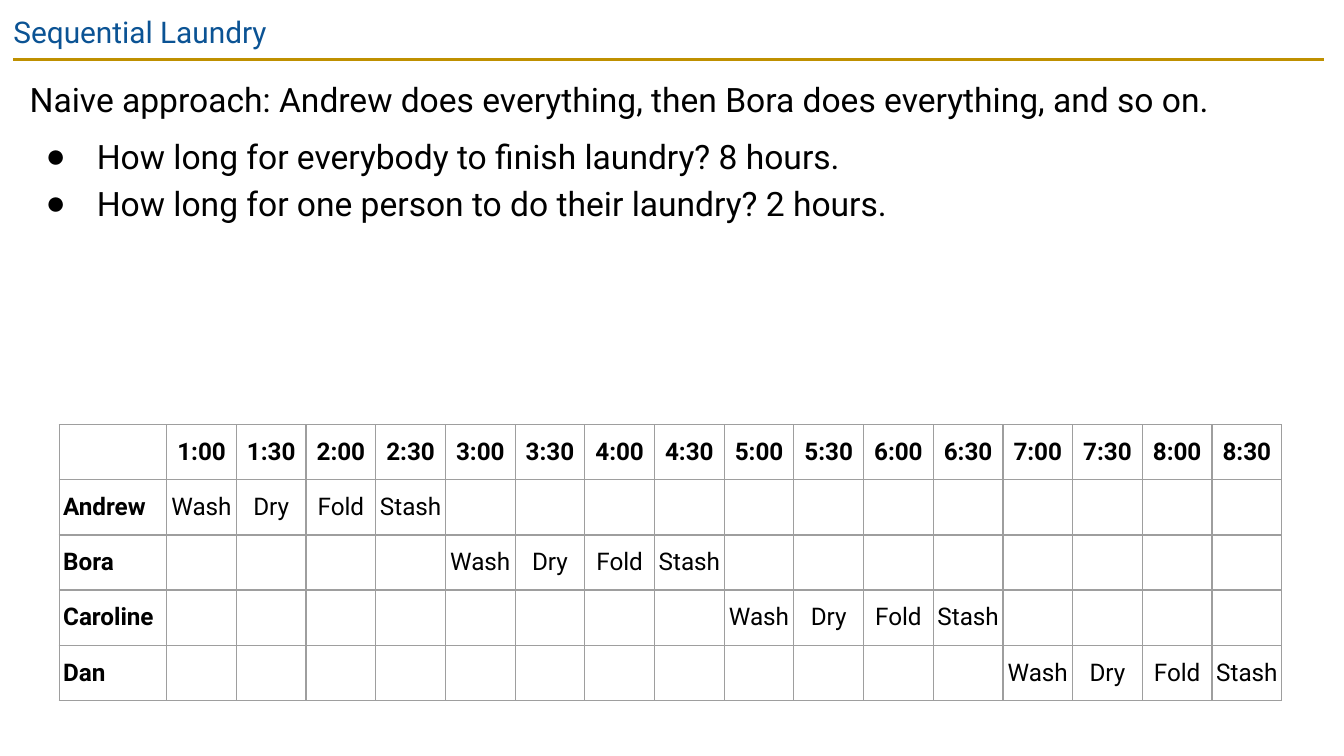
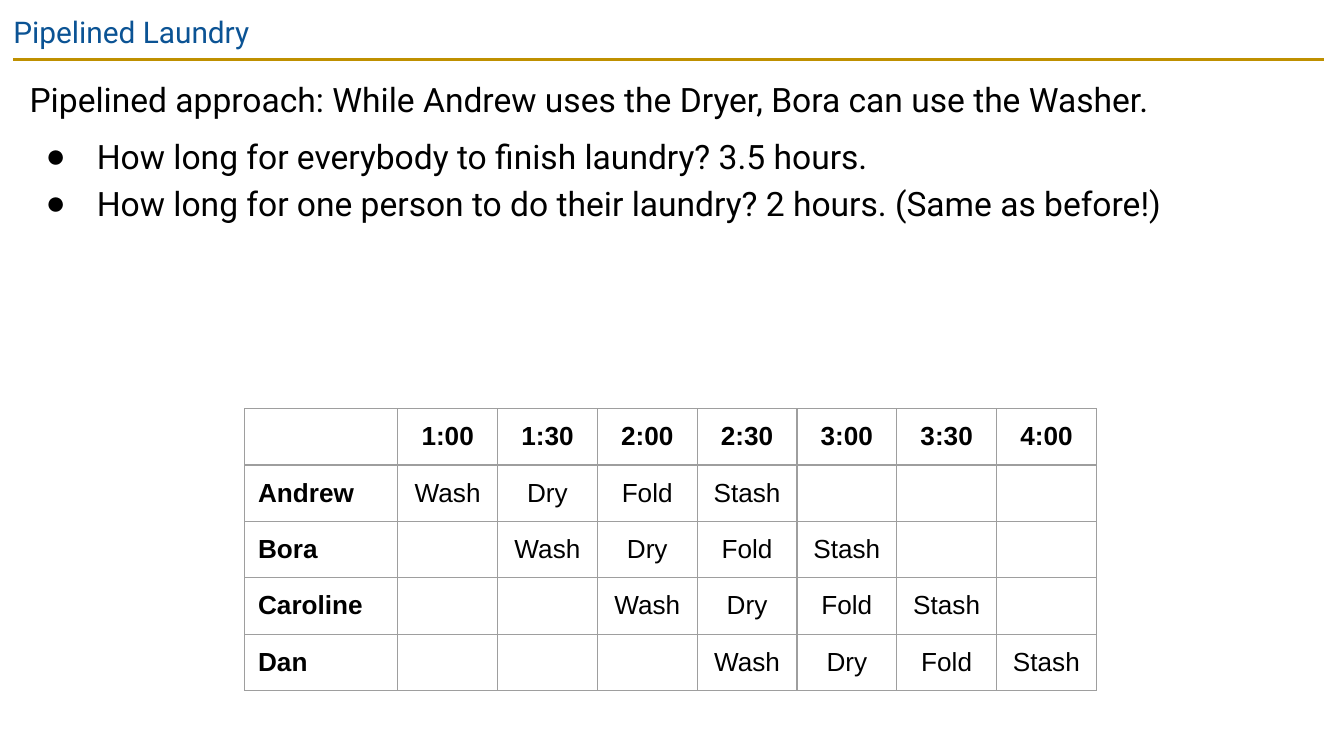
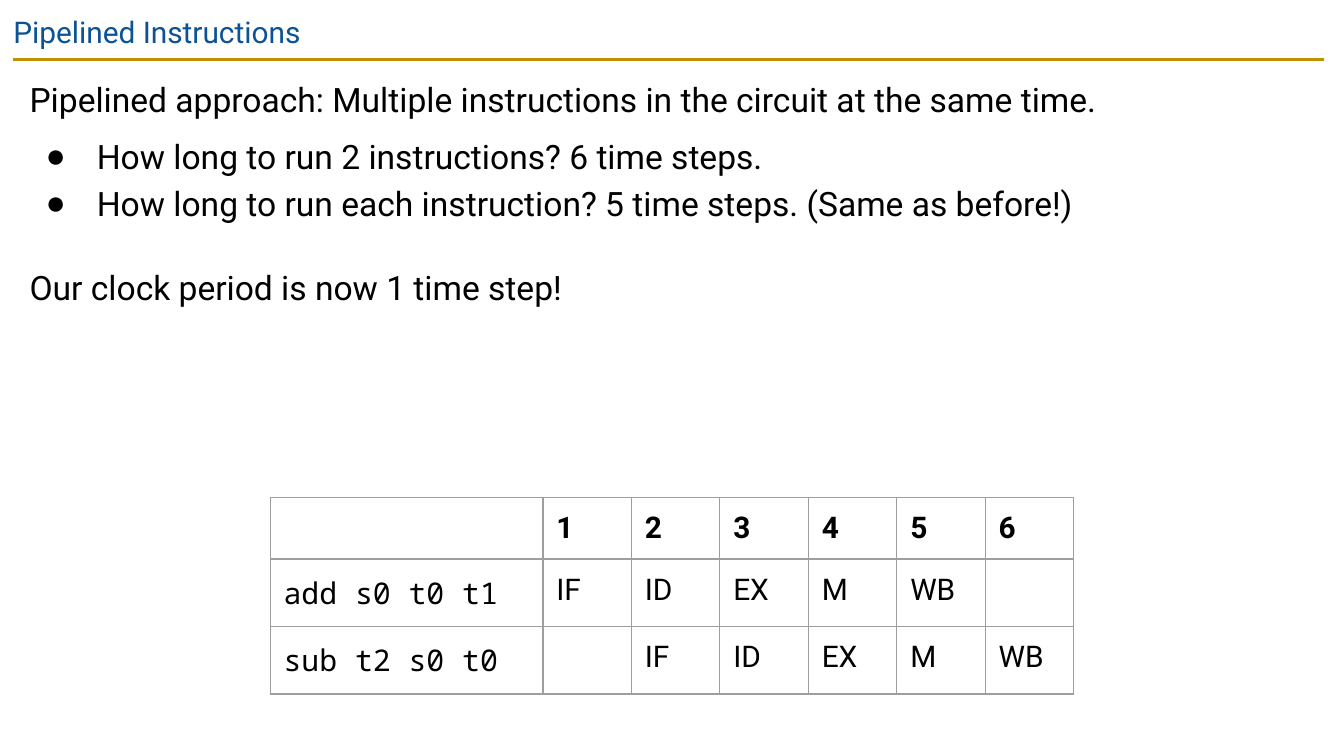
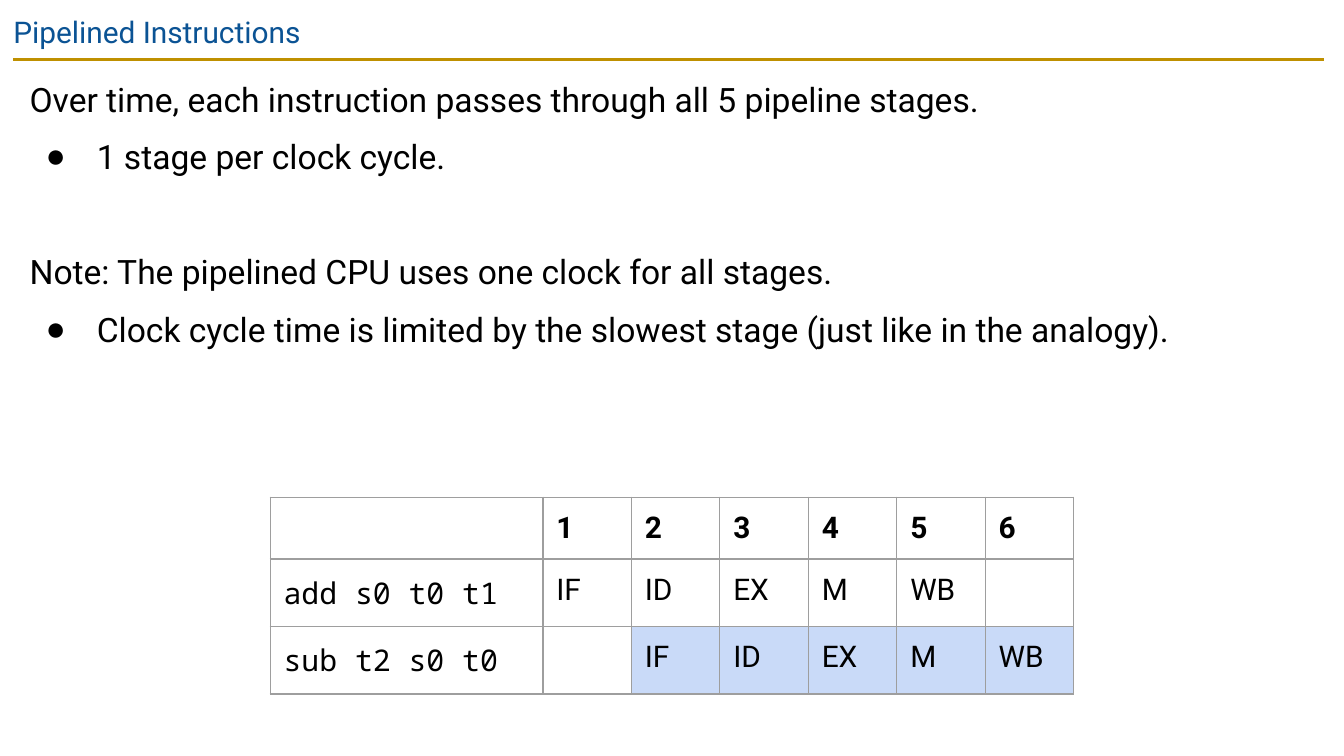
import dataclasses

import pptx
import pptx.dml.color
import pptx.enum.shapes
import pptx.enum.text
import pptx.oxml.ns
import pptx.util
from lxml import etree

Inches = pptx.util.Inches
Pt = pptx.util.Pt


@dataclasses.dataclass(frozen=True)
class Theme:
    title: str = "0B5394"
    rule: str = "BF9000"
    ink: str = "000000"
    grid: str = "9E9E9E"
    highlight: str = "C9DAF8"
    sans: str = "Roboto"
    plain: str = "Arial"
    mono: str = "Noto Sans Mono"
    title_size: float = 16
    body_size: float = 18
    grid_width: float = 0.75
    rule_width: float = 1.5
    line_spacing: float = 1.15
    gap: float = 6
    inset: float = 0.1


THEME = Theme()
TITLE_BOX = (0, 0, 10, 0.43)
BODY_LEFT, BODY_TOP, BODY_WIDTH = 0.12, 0.44, 9.74


@dataclasses.dataclass(frozen=True)
class GridStyle:
    size: float
    font: str = THEME.sans
    label_font: str = THEME.sans
    label_bold: bool = True
    centered: bool = True
    side_inset: float = THEME.inset


@dataclasses.dataclass(frozen=True)
class Schedule:
    headings: list
    labels: list
    stages: list
    stride: int
    box: tuple
    label_width: float
    row_heights: list
    style: GridStyle
    highlighted: tuple = ()


def rgb(value):
    return pptx.dml.color.RGBColor.from_string(value)


def add_xml(parent, tag, **attributes):
    return etree.SubElement(parent, pptx.oxml.ns.qn(tag), attributes)


def format_font(font, name, size, color, bold=False):
    font.name = name
    font.size = Pt(size)
    font.bold = bold
    font.color.rgb = rgb(color)


def prepare_placeholder(placeholder, box):
    placeholder.left, placeholder.top, placeholder.width, placeholder.height = map(Inches, box)
    frame = placeholder.text_frame
    frame.word_wrap = True
    frame.auto_size = pptx.enum.text.MSO_AUTO_SIZE.NONE
    frame.vertical_anchor = pptx.enum.text.MSO_ANCHOR.TOP
    frame.margin_left = frame.margin_right = Inches(THEME.inset)
    frame.margin_top = frame.margin_bottom = Inches(THEME.inset)
    return frame


def add_title(slide, title, box):
    frame = prepare_placeholder(slide.shapes.title, box)
    frame.text = title
    heading = frame.paragraphs[0]
    heading.alignment = pptx.enum.text.PP_ALIGN.LEFT
    format_font(heading.font, THEME.sans, THEME.title_size, THEME.title)


def set_bullet(paragraph, bulleted):
    properties = paragraph._p.get_or_add_pPr()
    properties.set("marL", str(Inches(0.5 if bulleted else 0)))
    properties.set("indent", str(Inches(-0.38 if bulleted else 0)))
    if bulleted:
        add_xml(add_xml(properties, "a:buClr"), "a:srgbClr", val=THEME.ink)
        add_xml(properties, "a:buFont", typeface=THEME.plain)
        add_xml(properties, "a:buChar", char="●")
    else:
        add_xml(properties, "a:buNone")


def add_body(slide, lines, box):
    frame = prepare_placeholder(slide.placeholders[1], box)
    frame.text = "\n".join(text for text, bulleted, space in lines)
    for paragraph, (text, bulleted, space) in zip(frame.paragraphs, lines):
        set_bullet(paragraph, bulleted)
        paragraph.line_spacing = THEME.line_spacing
        paragraph.space_before = Pt(space)
        paragraph.space_after = Pt(0)
        format_font(paragraph.font, THEME.sans, THEME.body_size, THEME.ink)


def format_cell(cell, fill=None):
    properties = cell._tc.get_or_add_tcPr()
    for side in ("a:lnL", "a:lnR", "a:lnT", "a:lnB"):
        border = add_xml(properties, side, w=str(Pt(THEME.grid_width)))
        add_xml(add_xml(border, "a:solidFill"), "a:srgbClr", val=THEME.grid)
    if fill:
        cell.fill.solid()
        cell.fill.fore_color.rgb = rgb(fill)
    else:
        cell.fill.background()


def write_cell(cell, text, style, font, bold, centered):
    cell.text = text
    cell.margin_left = cell.margin_right = Inches(style.side_inset)
    cell.margin_top = cell.margin_bottom = Inches(THEME.inset)
    paragraph = cell.text_frame.paragraphs[0]
    align = pptx.enum.text.PP_ALIGN
    paragraph.alignment = align.CENTER if centered else align.LEFT
    format_font(paragraph.font, font, style.size, THEME.ink, bold)


def add_schedule(slide, schedule):
    style = schedule.style
    left, top, width = schedule.box
    slots = len(schedule.headings)
    table = slide.shapes.add_table(
        len(schedule.labels) + 1, slots + 1, Inches(left), Inches(top),
        Inches(width), Inches(sum(schedule.row_heights))).table
    table.first_row = table.horz_banding = False
    table.columns[0].width = Inches(schedule.label_width)
    for slot in range(1, slots + 1):
        table.columns[slot].width = Inches((width - schedule.label_width) / slots)
    for row, height in zip(table.rows, schedule.row_heights):
        row.height = Inches(height)

    for slot, heading in enumerate(schedule.headings, 1):
        write_cell(table.cell(0, slot), heading, style, style.font, True, style.centered)
    filled = set()
    for row, label in enumerate(schedule.labels, 1):
        write_cell(table.cell(row, 0), label, style, style.label_font, style.label_bold, False)
        start = (row - 1) * schedule.stride + 1
        for slot, stage in enumerate(schedule.stages, start):
            write_cell(table.cell(row, slot), stage, style, style.font, False, style.centered)
            if row in schedule.highlighted:
                filled.add((row, slot))
    for row in range(len(schedule.labels) + 1):
        for column in range(slots + 1):
            fill = THEME.highlight if (row, column) in filled else None
            format_cell(table.cell(row, column), fill)


def add_master_rule(deck, slide):
    rule = slide.shapes.add_connector(
        pptx.enum.shapes.MSO_CONNECTOR.STRAIGHT,
        Inches(0.1), Inches(0.44), Inches(9.85), Inches(0.44))
    rule.line.color.rgb = rgb(THEME.rule)
    rule.line.width = Pt(THEME.rule_width)
    add_xml(rule.element.spPr, "a:effectLst")
    deck.slide_master.shapes.element.append(rule.element)


def add_schedule_slide(deck, title, lines, body_height, schedule):
    slide = deck.slides.add_slide(deck.slide_layouts[1])
    add_title(slide, title, TITLE_BOX)
    add_body(slide, lines, (BODY_LEFT, BODY_TOP, BODY_WIDTH, body_height))
    add_schedule(slide, schedule)
    return slide


def lead(text, space=0):
    return text, False, space


def point(text, space=0):
    return text, True, space


def half_hours(count):
    return [f"{1 + slot // 2}:{slot % 2 * 30:02}" for slot in range(count)]


def main():
    people = ["Andrew", "Bora", "Caroline", "Dan"]
    chores = ["Wash", "Dry", "Fold", "Stash"]
    sequential = Schedule(
        half_hours(16), people, chores, len(chores), (0.44, 3.16, 9.1), 0.8,
        [0.41] * 5, GridStyle(13, side_inset=0.03))
    pipelined = Schedule(
        half_hours(7), people, chores, 1, (1.82, 3.04, 6.34), 1.14,
        [0.42] * 5, GridStyle(14, THEME.plain, THEME.plain))
    instructions = Schedule(
        [str(step) for step in range(1, 7)], ["add s0 t0 t1", "sub t2 s0 t0"],
        ["IF", "ID", "EX", "M", "WB"], 1, (2.01, 3.7, 5.98), 2.03, [0.46, 0.5, 0.5],
        GridStyle(16, label_font=THEME.mono, label_bold=False, centered=False))
    second_highlighted = dataclasses.replace(instructions, highlighted=(2,))

    slides = [
        ("Sequential Laundry", [
            lead("Naive approach: Andrew does everything, then Bora does everything, and so on."),
            point("How long for everybody to finish laundry? 8 hours.", THEME.gap),
            point("How long for one person to do their laundry? 2 hours."),
        ], 2.13, sequential),
        ("Pipelined Laundry", [
            lead("Pipelined approach: While Andrew uses the Dryer, Bora can use the Washer."),
            point("How long for everybody to finish laundry? 3.5 hours.", THEME.gap),
            point("How long for one person to do their laundry? 2 hours. (Same as before!)"),
        ], 2.29, pipelined),
        ("Pipelined Instructions", [
            lead("Pipelined approach: Multiple instructions in the circuit at the same time."),
            point("How long to run 2 instructions? 6 time steps.", THEME.gap),
            point("How long to run each instruction? 5 time steps. (Same as before!)"),
            lead("Our clock period is now 1 time step!", 20.4),
        ], 4.95, instructions),
        ("Pipelined Instructions", [
            lead("Over time, each instruction passes through all 5 pipeline stages."),
            point("1 stage per clock cycle.", THEME.gap),
            lead("Note: The pipelined CPU uses one clock for all stages.", 36.6),
            point("Clock cycle time is limited by the slowest stage (just like in the analogy).",
                  THEME.gap),
        ], 4.95, second_highlighted),
    ]

    deck = pptx.Presentation()
    deck.slide_width = Inches(10)
    deck.slide_height = deck.slide_width * 9 // 16
    built = [add_schedule_slide(deck, *content) for content in slides]
    add_master_rule(deck, built[0])
    deck.save("out.pptx")


if __name__ == "__main__":
    main()
